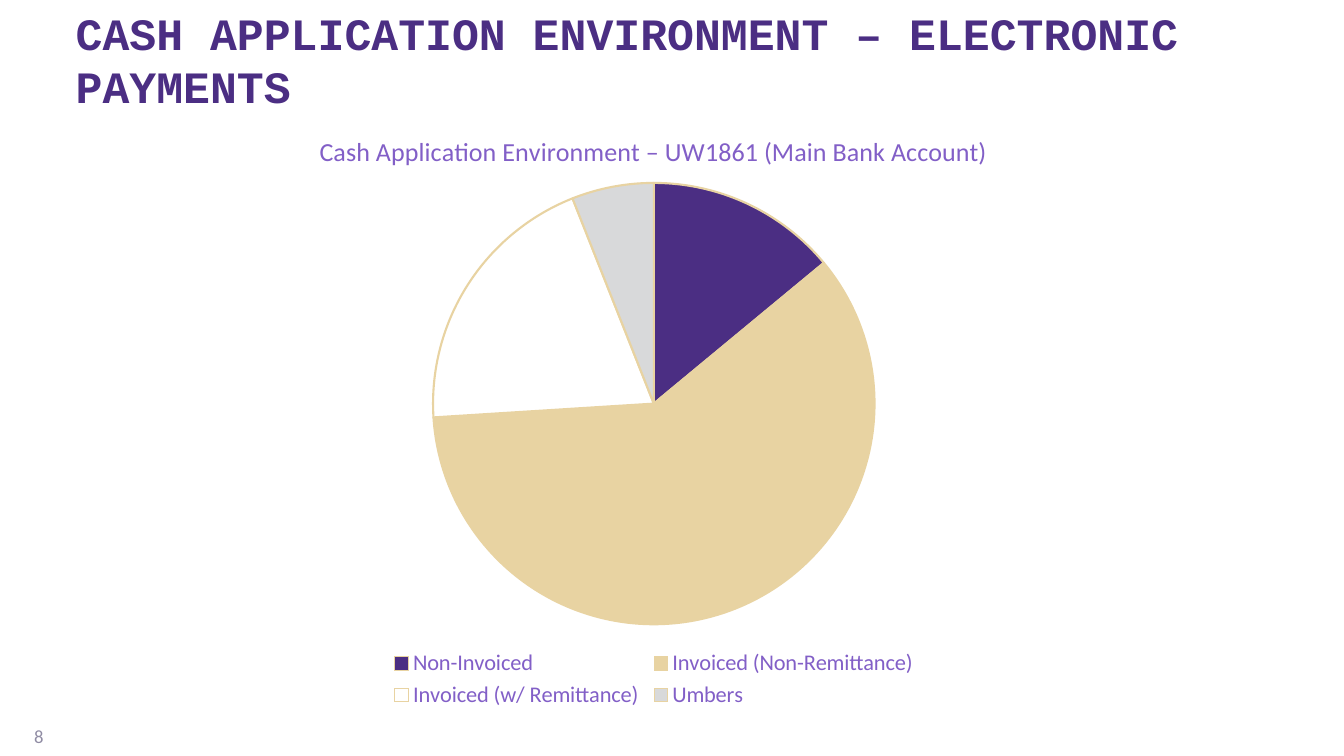
from lxml import etree
from pptx import Presentation
from pptx.chart import data
from pptx.dml import color
from pptx.enum import chart as kinds, text
from pptx.oxml import ns
from pptx.util import Inches, Pt

PURPLE, LILAC, GOLD = "4B2E83", "825FC7", "E8D3A2"
SLICES = [
    ("Non-Invoiced", 14, PURPLE),
    ("Invoiced (Non-Remittance)", 60, GOLD),
    ("Invoiced (w/ Remittance)", 20, "FFFFFF"),
    ("Umbers", 6, "D8D9DA"),
]


def rgb(code):
    return color.RGBColor.from_string(code)


def style(font, name, size, code, bold=False):
    font.name, font.size, font.bold = name, Pt(size), bold
    font.color.rgb = rgb(code)


def write(frame, words, align, *look):
    """Fill a frame with one styled run, centred vertically."""
    frame.word_wrap = True
    frame.auto_size = text.MSO_AUTO_SIZE.NONE
    frame.vertical_anchor = text.MSO_ANCHOR.MIDDLE
    para = frame.paragraphs[0]
    para.alignment = align
    run = para.add_run()
    run.text = words
    style(run.font, *look)


def place(part, index, **sides):
    """Give a chart part a fixed position, as fractions of the chart."""
    for old in part.findall(ns.qn("c:layout")):
        part.remove(old)
    layout = etree.Element(ns.qn("c:layout"))
    manual = etree.SubElement(layout, ns.qn("c:manualLayout"))
    if index == 0:
        etree.SubElement(manual, ns.qn("c:layoutTarget")).set("val", "inner")
    for side in "xy":
        etree.SubElement(manual, ns.qn(f"c:{side}Mode")).set("val", "edge")
    for side, share in sides.items():
        etree.SubElement(manual, ns.qn(f"c:{side}")).set("val", str(share))
    part.insert(index, layout)


def add_title(slide):
    title = slide.shapes.title
    title.left, title.top = Inches(0.65), Inches(0.27)
    title.width, title.height = Inches(11.92), Inches(0.63)
    write(title.text_frame, "CASH APPLICATION ENVIRONMENT – ELECTRONIC PAYMENTS",
          text.PP_ALIGN.LEFT, "Courier New", 32, PURPLE, True)


def add_number(slide):
    box = slide.shapes.add_textbox(Inches(0), Inches(7.1), Inches(0.53), Inches(0.4))
    write(box.text_frame, "8", text.PP_ALIGN.RIGHT, "Calibri", 13.3, "908CA4")


def add_pie(slide):
    source = data.CategoryChartData()
    source.categories = [name for name, _, _ in SLICES]
    source.add_series("Series 1", [value for _, value, _ in SLICES])
    chart = slide.shapes.add_chart(
        kinds.XL_CHART_TYPE.PIE, Inches(1.39), Inches(1.03),
        Inches(10.19), Inches(6.04), source).chart
    style(chart.font, "Calibri", 10, PURPLE)

    # Slices
    points = chart.plots[0].series[0].points
    for index, (_, _, code) in enumerate(SLICES):
        look = points[index].format
        look.fill.solid()
        look.fill.fore_color.rgb = rgb(code)
        look.line.color.rgb = rgb(GOLD)
        look.line.width = Pt(1.5)

    # Heading and legend
    chart.has_title = True
    run = chart.chart_title.text_frame.paragraphs[0].add_run()
    run.text = "Cash Application Environment – UW1861 (Main Bank Account)"
    style(run.font, "Calibri", 18.6, LILAC)
    chart.has_legend = True
    chart.legend.position = kinds.XL_LEGEND_POSITION.BOTTOM
    chart.legend.include_in_layout = False
    style(chart.legend.font, "Calibri", 16, LILAC)

    # Positions
    root = chart.element
    place(root.find(".//" + ns.qn("c:title")), 1, x=0.17, y=0.04)
    place(root.find(".//" + ns.qn("c:plotArea")), 0, x=0.285, y=0.13, w=0.43, h=0.725)
    place(root.find(".//" + ns.qn("c:legend")), 1, x=0.24, y=0.89, w=0.52, h=0.11)


def main():
    deck = Presentation()
    deck.slide_width, deck.slide_height = Inches(13.33), Inches(7.5)
    slide = deck.slides.add_slide(deck.slide_layouts[5])
    add_number(slide)
    add_title(slide)
    add_pie(slide)
    deck.save("out.pptx")


if __name__ == "__main__":
    main()
